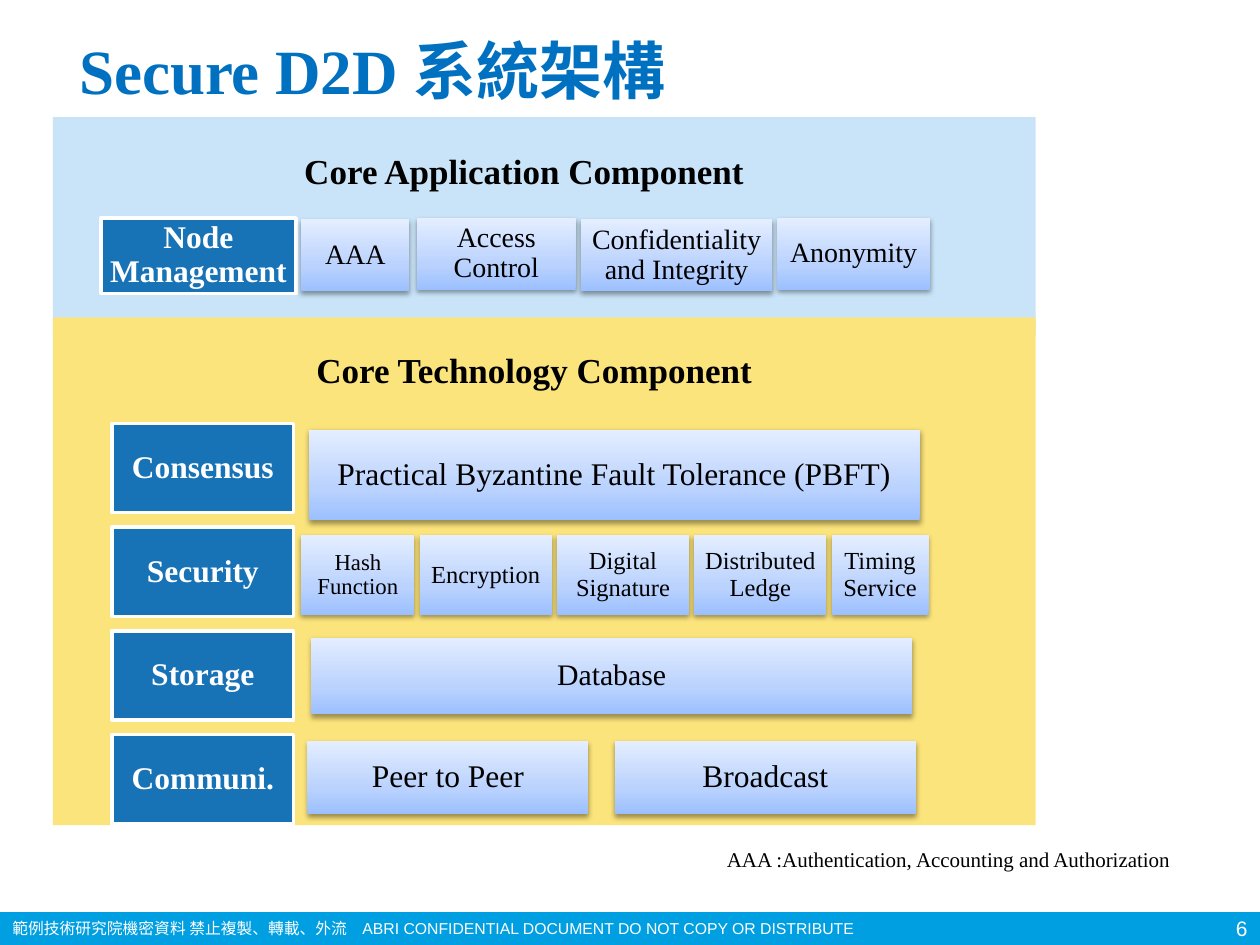
import copy
from dataclasses import dataclass

import lxml.etree
import pptx
import pptx.dml.color
import pptx.enum.shapes
import pptx.enum.text
import pptx.oxml
import pptx.oxml.ns
import pptx.util

Inches = pptx.util.Inches
Align = pptx.enum.text.PP_ALIGN


@dataclass
class Theme:
    serif: str = "Times New Roman"
    sans: str = "Arial"
    cjk: str = "Noto Sans CJK SC"
    black: str = "000000"
    white: str = "FFFFFF"
    title: str = "0070C0"
    footer: str = "009FE2"
    application: str = "C9E4F8"
    technology: str = "FCE47C"
    label: str = "1772B6"
    gradient: tuple = ((0, "9CC0FF"), (0.35, "BAD2FE"), (1, "E4EEFF"))
    title_size: int = 36
    heading_size: int = 20
    label_size: int = 18
    note_size: int = 12
    footer_size: int = 9


theme = Theme()
rgb = pptx.dml.color.RGBColor.from_string
SHADOW = (
    '<a:outerShdw xmlns:a="http://schemas.openxmlformats.org/drawingml/2006/main" '
    'blurRad="39370" dist="20320" dir="5400000" rotWithShape="0">'
    '<a:srgbClr val="000000"><a:alpha val="38000"/></a:srgbClr></a:outerShdw>'
)

deck = pptx.Presentation()
deck.slide_width, deck.slide_height = Inches(10), Inches(7.5)
page = deck.slides.add_slide(deck.slide_layouts[6])


def write(shape, text, size, color, bold=False, align=Align.CENTER, font=theme.serif, middle=True):
    """Put one paragraph of text into a shape or text box."""
    frame = shape.text_frame
    frame.word_wrap = True
    anchor = pptx.enum.text.MSO_ANCHOR
    frame.vertical_anchor = anchor.MIDDLE if middle else anchor.TOP
    para = frame.paragraphs[0]
    para.alignment = align
    para.font.name, para.font.size, para.font.bold = font, pptx.util.Pt(size), bold
    para.font.color.rgb = rgb(color)
    span = para.add_run()
    span.text = text
    east_asian = lxml.etree.SubElement(span._r.get_or_add_rPr(), pptx.oxml.ns.qn("a:ea"))
    east_asian.set("typeface", theme.cjk)
    return para


def block(left, top, width, height, fill=None, text="", size=theme.label_size, inset=0.07):
    """Draw a rectangle: solid when a fill is given, else a shaded block with a shadow."""
    box = page.shapes.add_shape(
        pptx.enum.shapes.MSO_SHAPE.RECTANGLE,
        Inches(left), Inches(top), Inches(width), Inches(height))
    box.shadow.inherit = False
    box.line.fill.background()
    if fill:
        box.fill.solid()
        box.fill.fore_color.rgb = rgb(fill)
    else:
        box.fill.gradient()
        box.fill.gradient_angle = 90
        properties = box._element.spPr
        stops = properties.find(".//" + pptx.oxml.ns.qn("a:gsLst"))
        stops.append(copy.deepcopy(stops[0]))
        for stop, (position, color) in zip(box.fill.gradient_stops, theme.gradient):
            stop.position = position
            stop.color.rgb = rgb(color)
        effects = properties.find(pptx.oxml.ns.qn("a:effectLst"))
        effects.append(pptx.oxml.parse_xml(SHADOW))
    if text:
        frame = box.text_frame
        frame.margin_left = frame.margin_right = Inches(inset)
        frame.margin_top = frame.margin_bottom = Inches(inset)
        is_label = fill == theme.label
        if is_label:
            box.line.color.rgb = rgb(theme.white)
            box.line.width = pptx.util.Pt(2)
        para = write(box, text, size, theme.white if is_label else theme.black, is_label)
        para.line_spacing = 0.9
    return box


# Footer bar and the two component panels
block(0, 7.24, 10, 0.26, theme.footer)
block(0.42, 0.93, 7.8, 1.73, theme.application)
block(0.42, 2.52, 7.8, 4.03, theme.technology)

# Title, panel headings and note
title = page.shapes.add_textbox(Inches(0.53), Inches(-0.11), Inches(9.15), Inches(1.32))
write(title, "Secure D2D 系統架構", theme.title_size, theme.title, True, Align.LEFT)
for left, top, width, height, text, size, bold in (
    (1.76, 1.14, 4.8, 0.44, "Core Application Component", theme.heading_size, True),
    (1.84, 2.72, 4.8, 0.44, "Core Technology Component", theme.heading_size, True),
    (5.57, 6.67, 3.92, 0.3, "AAA :Authentication, Accounting and Authorization",
     theme.note_size, False),
):
    box = page.shapes.add_textbox(Inches(left), Inches(top), Inches(width), Inches(height))
    write(box, text, size, theme.black, bold, middle=False)

# Footer text and page number
notice = page.shapes.add_textbox(Inches(0), Inches(7.24), Inches(7.2), Inches(0.25))
write(notice, "範例技術研究院機密資料 禁止複製、轉載、外流　"
      "ABRI CONFIDENTIAL DOCUMENT DO NOT COPY OR DISTRIBUTE",
      theme.footer_size, theme.white, align=Align.LEFT, font=theme.sans, middle=False)
number = page.shapes.add_textbox(Inches(9.38), Inches(7.24), Inches(0.62), Inches(0.26))
write(number, "6", theme.note_size, theme.white, align=Align.RIGHT, font=theme.sans)

# Row labels, evenly spaced from the first to the last
for row, text in enumerate(("Consensus", "Security", "Storage", "Communi.")):
    block(0.89, 3.36 + row * 2.47 / 3, 1.44, 0.71, theme.label, text)
block(0.8, 1.73, 1.55, 0.6, theme.label, "Node Management")

# Application blocks
for left, top, width, text in (
    (2.39, 1.74, 0.86, "AAA"),
    (3.31, 1.73, 1.26, "Access Control"),
    (4.61, 1.74, 1.52, "Confidentiality and Integrity"),
    (6.17, 1.73, 1.21, "Anonymity"),
):
    block(left, top, width, 0.57, text=text, size=16)

# Consensus, storage and communication blocks
block(2.45, 3.41, 4.85, 0.72, text="Practical Byzantine Fault Tolerance (PBFT)")
block(2.47, 5.06, 4.77, 0.61, text="Database", size=17)
block(2.44, 5.88, 2.23, 0.58, text="Peer to Peer")
block(4.88, 5.88, 2.39, 0.58, text="Broadcast")

# Security blocks, set side by side with equal gaps
left = 2.39
for width, text, size, inset in (
    (0.9, "Hash Function", 13, 0.05),
    (1.05, "Encryption", 14, 0.06),
    (1.05, "Digital Signature", 14, 0.06),
    (1.05, "Distributed Ledge", 14, 0.06),
    (0.77, "Timing Service", 14, 0.06),
):
    block(left, 4.25, width, 0.63, text=text, size=size, inset=inset)
    left += width + 0.04

deck.save("out.pptx")
